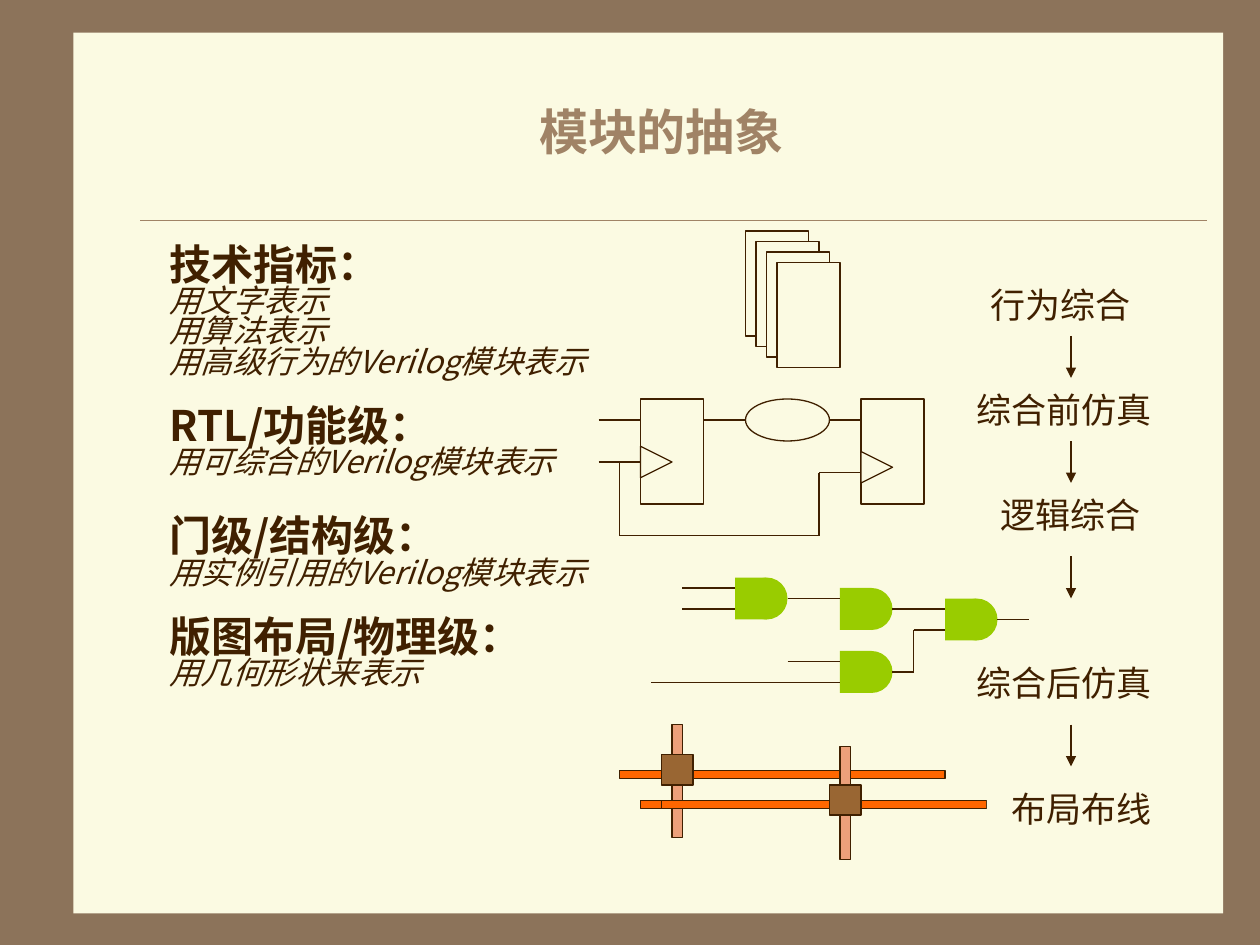
from lxml import etree
from pptx import Presentation
from pptx.dml.color import RGBColor
from pptx.enum.shapes import MSO_CONNECTOR, MSO_SHAPE
from pptx.enum.text import MSO_ANCHOR, PP_ALIGN
from pptx.oxml.ns import qn
from pptx.util import Pt

RECT, OVAL, WEDGE = MSO_SHAPE.RECTANGLE, MSO_SHAPE.OVAL, MSO_SHAPE.ISOSCELES_TRIANGLE
STRAIGHT = MSO_CONNECTOR.STRAIGHT
TOP, MIDDLE = MSO_ANCHOR.TOP, MSO_ANCHOR.MIDDLE
LEFT, CENTER = PP_ALIGN.LEFT, PP_ALIGN.CENTER
PX = 9525
FONT = "Noto Sans CJK SC"
FRAME, PAPER, TAN, INK = "8C735A", "FBFAE2", "A08366", "402000"
GREEN, ORANGE, PINK, BROWN = "99CC00", "FF6600", "ECA07A", "996633"


def color(code):
    return RGBColor.from_string(code)


class Sketch:
    """Draws styled elements on the current slide."""

    def __init__(self, deck):
        self.slide = deck.slides.add_slide(deck.slide_layouts[6])
        fill = self.slide.background.fill
        fill.solid()
        fill.fore_color.rgb = color(FRAME)

    def shape(self, kind, x, y, w, h, fill=PAPER, line=INK, turn=0):
        item = self.slide.shapes.add_shape(kind, x * PX, y * PX, w * PX, h * PX)
        item.shadow.inherit = False
        item.rotation = turn
        item.fill.solid()
        item.fill.fore_color.rgb = color(fill)
        if line:
            item.line.color.rgb = color(line)
            item.line.width = Pt(0.75)
        else:
            item.line.fill.background()
        return item

    def wire(self, x1, y1, x2, y2, hue=INK, width=0.75, arrow=False):
        item = self.slide.shapes.add_connector(
            STRAIGHT, x1 * PX, y1 * PX, x2 * PX, y2 * PX)
        item.line.color.rgb = color(hue)
        item.line.width = Pt(width)
        if arrow:
            etree.SubElement(item.line._get_or_add_ln(), qn("a:tailEnd"), type="triangle")
        etree.SubElement(item._element.spPr, qn("a:effectLst"))

    def text(self, x, y, w, h, rows, anchor=MIDDLE, align=CENTER, pad=(9, 5), gap=1.0):
        box = self.slide.shapes.add_textbox(x * PX, y * PX, w * PX, h * PX)
        box.fill.solid()
        box.fill.fore_color.rgb = color(PAPER)
        frame = box.text_frame
        frame.word_wrap = True
        frame.vertical_anchor = anchor
        frame.margin_left = frame.margin_right = pad[0] * PX
        frame.margin_top = frame.margin_bottom = pad[1] * PX
        for i, (words, size, hue, bold, slant, before) in enumerate(rows):
            para = frame.add_paragraph() if i else frame.paragraphs[0]
            para.text = words
            para.alignment = align
            para.line_spacing = gap
            para.space_before = Pt(before)
            font = para.font
            font.size, font.bold, font.italic = Pt(size), bold, slant
            font.color.rgb = color(hue)
            font.name = FONT
            etree.SubElement(font._element, qn("a:ea"), typeface=FONT)

    def gate(self, x, y):
        self.shape(OVAL, x + 8, y, 32, 32, GREEN, None)
        self.shape(RECT, x, y, 24, 32, GREEN, None)


LEVELS = [
    ("技术指标：", 0, ["用文字表示", "用算法表示", "用高级行为的Verilog模块表示"]),
    ("RTL/功能级：", 17, ["用可综合的Verilog模块表示"]),
    ("门级/结构级：", 23, ["用实例引用的Verilog模块表示"]),
    ("版图布局/物理级：", 17, ["用几何形状来表示"]),
]
WIRES = [
    (456, 320, 488, 320), (536, 320, 568, 320), (632, 320, 656, 320),
    (456, 352, 488, 352), (472, 352, 472, 408), (624, 360, 624, 408),
    (624, 360, 656, 360), (472, 408, 624, 408),
    (600, 456, 640, 456), (600, 504, 640, 504), (680, 464, 720, 464),
    (696, 480, 720, 480), (760, 472, 784, 472), (696, 480, 696, 512),
    (680, 512, 696, 512), (640, 520, 496, 520), (520, 448, 560, 448),
    (520, 464, 560, 464),
]
METAL = [
    (472, 587, 248, 6, ORANGE), (488, 610, 248, 6, ORANGE),
    (512, 552, 8, 86, PINK), (504, 610, 248, 6, ORANGE),
    (504, 575, 24, 23, BROWN), (640, 569, 8, 86, PINK),
    (632, 598, 24, 23, BROWN),
]
STEPS = [
    ("行为综合", 736, 216, CENTER), ("综合前仿真", 744, 296, LEFT),
    ("逻辑综合", 744, 376, CENTER), ("综合后仿真", 744, 504, LEFT),
    ("布局布线", 752, 600, CENTER),
]


def main():
    deck = Presentation()
    deck.slide_width, deck.slide_height = 960 * PX, 720 * PX
    art = Sketch(deck)
    art.shape(RECT, 56, 25, 876, 671, line=None)
    art.wire(107, 168, 920, 168, TAN, 0.25)
    art.text(96, 72, 816, 56, [("模块的抽象", 28, TAN, True, False, 0)])

    rows = []
    for head, before, notes in LEVELS:
        rows.append((head, 24, INK, True, False, before))
        rows += [(note, 18, INK, False, True, 0) for note in notes]
    art.text(120, 184, 360, 480, rows, TOP, LEFT, gap=0.8)

    for step in range(0, 32, 8):
        art.shape(RECT, 568 + step, 176 + step, 48, 80)
    for x, y in [(488, 340), (656, 344)]:
        art.shape(RECT, x, 304, 48, 80)
        art.shape(WEDGE, x, y, 24, 24, turn=90)
    art.shape(OVAL, 568, 304, 64, 32)
    for x, y in [(640, 448), (720, 456), (640, 496), (560, 440)]:
        art.gate(x, y)
    for ends in WIRES:
        art.wire(*ends)
    for bar in METAL:
        art.shape(RECT, *bar)

    for words, x, y, align in STEPS:
        art.text(x, y, 144, 32, [(words, 20, INK, False, False, 0)],
                 align=align, pad=(0, 0))
    for y in (256, 336, 424, 552):
        art.wire(816, y, 816, y + 32, arrow=True)
    deck.save("out.pptx")


if __name__ == "__main__":
    main()
